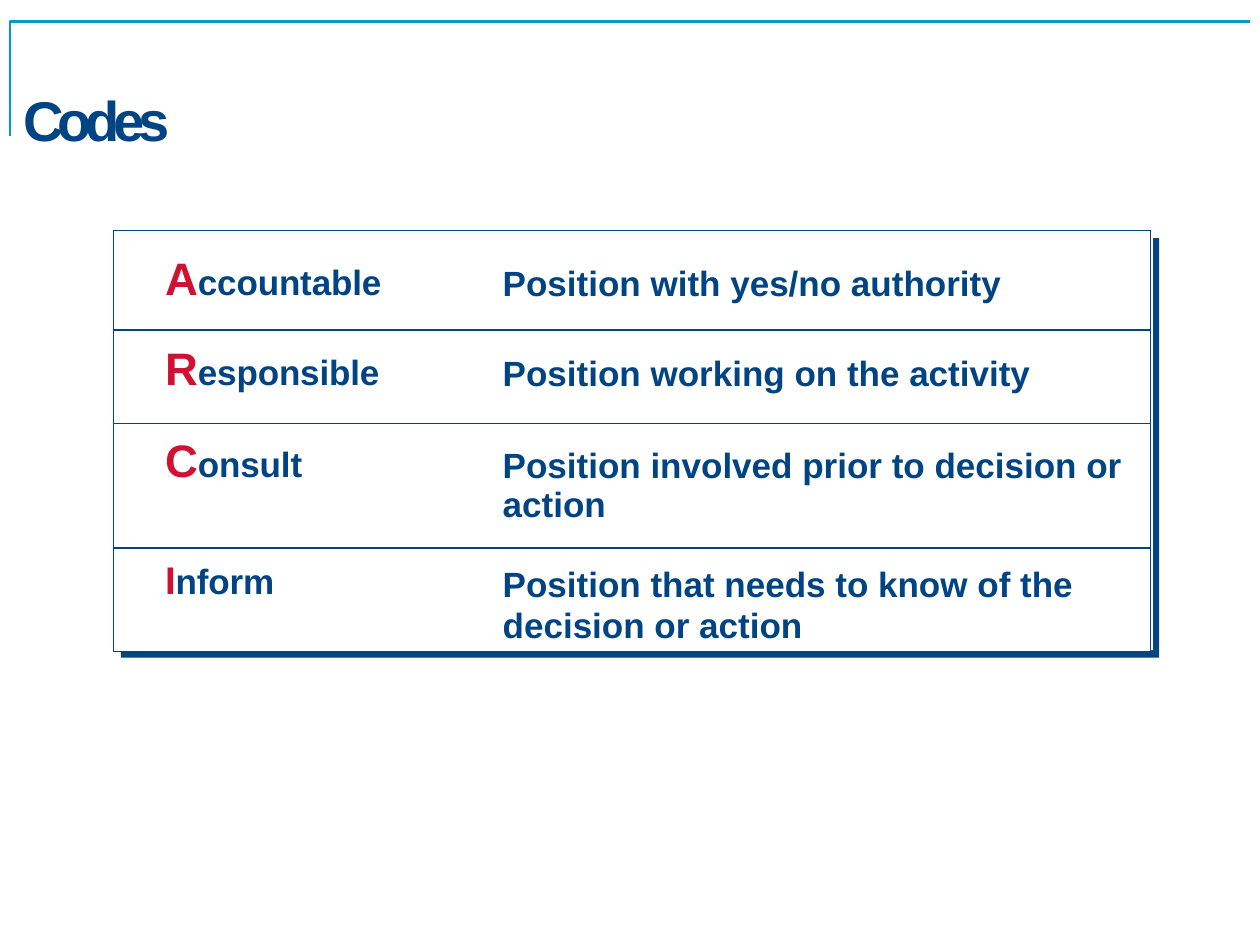
from pptx import Presentation
from pptx.dml.color import RGBColor
from pptx.enum.shapes import MSO_SHAPE
from pptx.enum.text import MSO_ANCHOR, MSO_AUTO_SIZE, PP_ALIGN
from pptx.oxml import parse_xml
from pptx.oxml.ns import nsdecls
from pptx.util import Inches, Pt

RECTANGLE = MSO_SHAPE.RECTANGLE
TOP = MSO_ANCHOR.TOP
NO_AUTOFIT = MSO_AUTO_SIZE.NONE
LEFT = PP_ALIGN.LEFT
TITLE_ONLY = 5

NAVY, BORDER, RED, TEAL, WHITE = "004483", "014582", "CE1234", "029ACA", "FFFFFF"


def color(hex_string):
    return RGBColor.from_string(hex_string)


def add_text(paragraph, text, size=20, fill=NAVY, bold=True, spacing=0):
    run = paragraph.add_run()
    run.text = text
    run.font.name = "Arial"
    run.font.size = Pt(size)
    run.font.bold = bold
    run.font.color.rgb = color(fill)
    if spacing:
        run.font._element.set("spc", str(round(spacing * 100)))


def indent(paragraph, inches):
    properties = paragraph._p.get_or_add_pPr()
    properties.set("marL", str(Inches(inches)))
    properties.set("indent", "0")
    paragraph.alignment = LEFT


def set_border(cell, side, width=1):
    """Draw one side of a cell; a width of 0 hides it."""
    paint = f'<a:solidFill><a:srgbClr val="{BORDER}"/></a:solidFill>' if width else "<a:noFill/>"
    cell._tc.get_or_add_tcPr().append(parse_xml(
        f'<a:ln{side} {nsdecls("a")} w="{Pt(width)}">{paint}</a:ln{side}>'))


class CodesSlide:
    def __init__(self, presentation):
        self.slide = presentation.slides.add_slide(presentation.slide_layouts[TITLE_ONLY])
        self.shapes = self.slide.shapes

    def corner_line(self, points):
        (start, *rest) = [(Inches(x), Inches(y)) for x, y in points]
        builder = self.shapes.build_freeform(*start)
        builder.add_line_segments(rest, close=False)
        corner = builder.convert_to_shape()
        corner.shadow.inherit = False
        corner.fill.background()
        corner.line.color.rgb = color(TEAL)
        corner.line.width = Pt(1.5)

    def title(self, text, left, top, width, height):
        heading = self.shapes.title
        heading.left, heading.top = Inches(left), Inches(top)
        heading.width, heading.height = Inches(width), Inches(height)
        frame = heading.text_frame
        frame.auto_size = NO_AUTOFIT
        frame.vertical_anchor = TOP
        frame.margin_left = frame.margin_right = frame.margin_bottom = 0
        frame.margin_top = Inches(0.51)
        indent(frame.paragraphs[0], 0.01)
        add_text(frame.paragraphs[0], text, size=32, spacing=-3.7)

    def panel(self, left, top, width, height, fill):
        panel = self.shapes.add_shape(
            RECTANGLE, Inches(left), Inches(top), Inches(width), Inches(height))
        panel.shadow.inherit = False
        panel.fill.solid()
        panel.fill.fore_color.rgb = color(fill)
        panel.line.fill.background()

    def table(self, left, top, column_widths, row_heights):
        grid = self.shapes.add_table(
            len(row_heights), len(column_widths), Inches(left), Inches(top),
            Inches(sum(column_widths)), Inches(sum(row_heights))).table
        grid.first_row = grid.horz_banding = False
        for column, width in zip(grid.columns, column_widths):
            column.width = Inches(width)
        for row, height in zip(grid.rows, row_heights):
            row.height = Inches(height)
        return grid

    def cell(self, cell, margin_top, left_indent, outer_side):
        """Format a cell and return its paragraph."""
        cell.margin_left = cell.margin_right = cell.margin_bottom = 0
        cell.margin_top = Inches(margin_top)
        cell.vertical_anchor = TOP
        for side in "LRTB":
            set_border(cell, side, 1 if side in outer_side + "TB" else 0)
        cell.fill.solid()
        cell.fill.fore_color.rgb = color(WHITE)
        paragraph = cell.text_frame.paragraphs[0]
        indent(paragraph, left_indent)
        return paragraph


# Code, its initial's size and top margin; meaning, its top margin and line spacing; row height
CODES = [
    ("Accountable", 26, 0.19, "Position with yes/no authority", 0.27, None, 0.79),
    ("Responsible", 26, 0.11, "Position working on the activity", 0.2, None, 0.74),
    ("Consult", 26, 0.1, "Position involved prior to decision or action", 0.18, 1.01, 0.99),
    ("Inform", 22, 0.09, "Position that needs to know of the decision or action",
     0.13, Pt(23.2), 0.82),
]


def main():
    presentation = Presentation()
    presentation.slide_width, presentation.slide_height = Inches(10), Inches(7.5)
    page = CodesSlide(presentation)

    # Heading with its corner line
    page.corner_line([(0.08, 1.08), (0.08, 0.17), (9.92, 0.17)])
    page.title("Codes", 0.18, 0.17, 9.37, 1.03)

    # White panel over its offset shadow
    page.panel(0.96, 1.89, 8.24, 3.33, BORDER)
    page.panel(0.91, 1.83, 8.24, 3.33, WHITE)

    # Codes and their meanings
    codes = page.table(0.9, 1.83, [2.61, 5.62], [row[-1] for row in CODES])
    for index, (code, initial_size, code_top, meaning, meaning_top, leading, _) in enumerate(CODES):
        name = page.cell(codes.cell(index, 0), code_top, 0.41, "L")
        add_text(name, code[0], size=initial_size, fill=RED, spacing=-0.1)
        add_text(name, code[1:], spacing=-0.1)
        definition = page.cell(codes.cell(index, 1), meaning_top, 0.48, "R")
        definition.line_spacing = leading
        add_text(definition, meaning)

    presentation.save("out.pptx")


if __name__ == "__main__":
    main()
